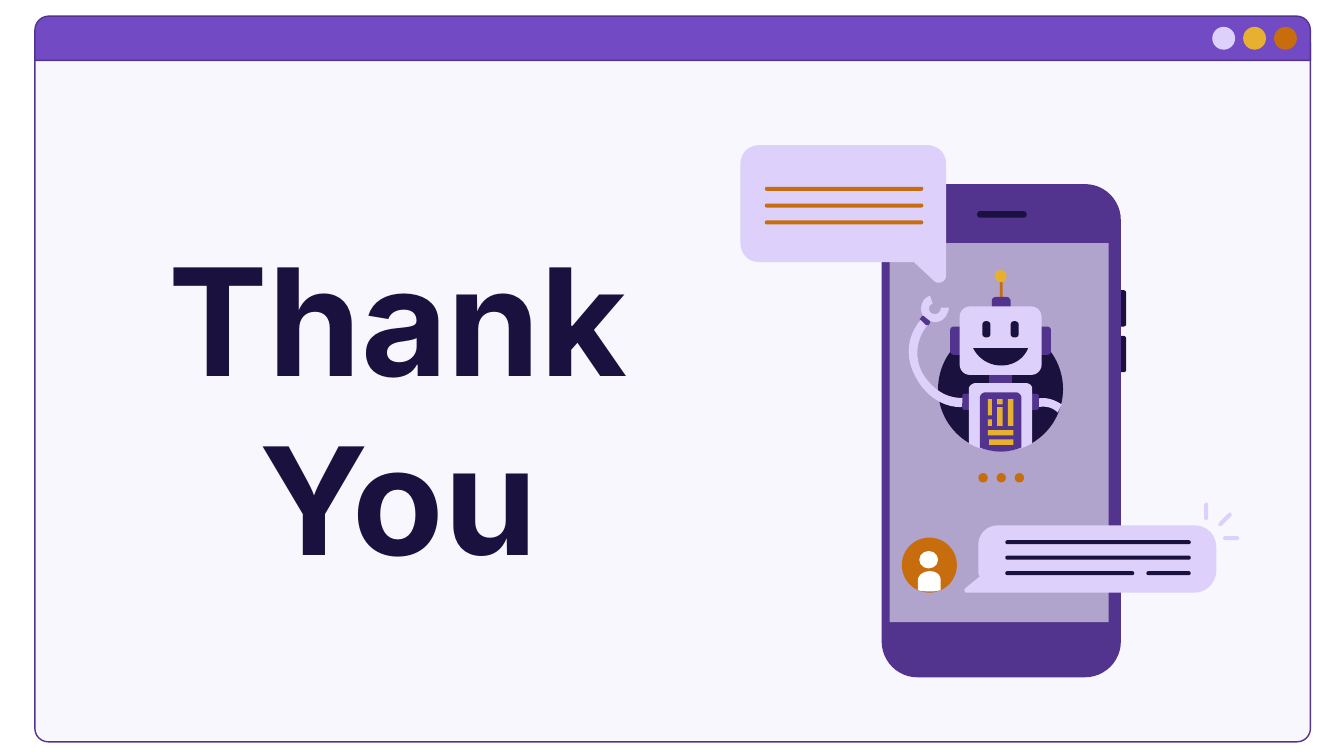
from lxml.etree import SubElement
from pptx import Presentation
from pptx.dml.color import RGBColor
from pptx.enum.shapes import MSO_SHAPE
from pptx.enum.text import MSO_ANCHOR, PP_ALIGN
from pptx.oxml.ns import qn
from pptx.util import Inches, Pt

LILAC = RGBColor(0xDD, 0xD0, 0xFB)
PURPLE = RGBColor(0x72, 0x4A, 0xC3)
DEEP = RGBColor(0x52, 0x34, 0x8F)
NAVY = RGBColor(0x1A, 0x11, 0x3F)
GOLD = RGBColor(0xE7, 0xB0, 0x2F)
ORANGE = RGBColor(0xC7, 0x6D, 0x0D)
WHITE = RGBColor(0xFF, 0xFF, 0xFF)

RECT, OVAL = MSO_SHAPE.RECTANGLE, MSO_SHAPE.OVAL
ROUND, TOP_ROUND = MSO_SHAPE.ROUNDED_RECTANGLE, MSO_SHAPE.ROUND_2_SAME_RECTANGLE

# Presets: kind, (left, top, width, height) in inches, colour, corner shares
# Outlines: colour, points; a six-number entry is a cubic curve
WINDOW_BUTTONS = [LILAC, GOLD, ORANGE]

PHONE = [
    (ROUND, (8.32, 2.16, 0.06, 0.27), NAVY, 0.3),
    (ROUND, (8.32, 2.5, 0.06, 0.27), NAVY, 0.3),
    (ROUND, (6.56, 1.37, 1.78, 3.67), DEEP, 0.15),
    (ROUND, (7.27, 1.57, 0.37, 0.05), NAVY, 0.5),
]
SCREEN = (6.62, 1.81, 1.63, 2.82)

REPLY_BUBBLE = (LILAC, [
    (8.89, 3.91), (7.42, 3.91), (7.35, 3.91, 7.28, 3.97, 7.28, 4.05), (7.28, 4.27),
    (7.29, 4.29), (7.18, 4.38), (7.17, 4.39, 7.18, 4.41, 7.19, 4.41), (8.89, 4.41),
    (8.98, 4.41, 9.05, 4.33, 9.05, 4.25), (9.05, 4.07),
    (9.05, 3.98, 8.98, 3.91, 8.89, 3.91)])
REPLY_LINES = [[(7.48, 1.38)], [(7.48, 1.38)], [(7.48, 0.96), (8.53, 0.33)]]  # left, width per row
SPARKS = [(8.96, 3.74, 0.03, 0.13, 0), (9.05, 3.85, 0.13, 0.03, -45), (9.1, 3.99, 0.12, 0.03, 0)]

ROBOT_HEAD = [
    (OVAL, (6.98, 2.43, 0.93, 0.93), NAVY),
    (RECT, (7.36, 2.78, 0.17, 0.09), DEEP),
    (RECT, (7.44, 2.06, 0.02, 0.17), ORANGE),
    (OVAL, (7.4, 2.01, 0.09, 0.09), GOLD),
    (TOP_ROUND, (7.38, 2.21, 0.14, 0.08), DEEP, 0.35, 0),
    (ROUND, (7.07, 2.43, 0.1, 0.21), DEEP, 0.25),
    (ROUND, (7.72, 2.43, 0.1, 0.21), DEEP, 0.25),
    (ROUND, (7.14, 2.28, 0.61, 0.51), LILAC, 0.15),
    (ROUND, (7.31, 2.39, 0.06, 0.12), NAVY, 0.4),
    (ROUND, (7.52, 2.39, 0.06, 0.12), NAVY, 0.4),
]
ROBOT_BODY = [
    # Smile
    (NAVY, [(7.24, 2.59), (7.65, 2.59), (7.62, 2.67, 7.54, 2.72, 7.45, 2.72),
            (7.36, 2.72, 7.28, 2.67, 7.24, 2.59)]),
    # Raised arm, hand and wrist
    (LILAC, [(7.15, 3.03), (7.01, 3.03, 6.88, 2.94, 6.81, 2.8),
             (6.73, 2.65, 6.75, 2.49, 6.86, 2.37), (6.91, 2.41),
             (6.82, 2.51, 6.8, 2.65, 6.86, 2.77), (6.93, 2.89, 7.04, 2.97, 7.17, 2.96),
             (7.17, 3.02), (7.15, 3.03)]),
    (LILAC, [(6.9, 2.38), (6.85, 2.35, 6.84, 2.29, 6.87, 2.24),
             (6.88, 2.22, 6.9, 2.21, 6.92, 2.2), (6.94, 2.26),
             (6.93, 2.26, 6.93, 2.27, 6.92, 2.27), (6.91, 2.29, 6.91, 2.32, 6.93, 2.33),
             (6.95, 2.34, 6.98, 2.34, 6.99, 2.32), (7, 2.31, 7, 2.3, 7, 2.29), (7.06, 2.29),
             (7.06, 2.31, 7.05, 2.33, 7.04, 2.35), (7.01, 2.4, 6.95, 2.41, 6.9, 2.38)]),
    (DEEP, [(6.89, 2.42), (6.85, 2.38), (6.84, 2.38, 6.84, 2.37, 6.85, 2.37), (6.86, 2.35),
            (6.87, 2.35), (6.92, 2.39), (6.92, 2.4), (6.91, 2.42), (6.89, 2.42)]),
    # Lowered arm
    (LILAC, [(7.71, 2.97), (7.72, 3.03), (7.78, 3.02, 7.83, 3.03, 7.87, 3.07),
             (7.88, 3.05, 7.89, 3.03, 7.9, 3.01), (7.84, 2.97, 7.77, 2.95, 7.71, 2.97)]),
]
SHOULDERS = [(ROUND, (7.16, 2.93, 0.08, 0.12), DEEP, 0.2),
             (ROUND, (7.65, 2.93, 0.08, 0.12), DEEP, 0.2)]
CHEST = [
    (LILAC, [(7.63, 2.85), (7.26, 2.85), (7.24, 2.85, 7.21, 2.87, 7.21, 2.89), (7.21, 3.3),
             (7.28, 3.34, 7.36, 3.36, 7.45, 3.36), (7.53, 3.36, 7.61, 3.34, 7.68, 3.3),
             (7.68, 2.89), (7.68, 2.87, 7.66, 2.85, 7.63, 2.85)]),
    (DEEP, [(7.56, 2.92), (7.33, 2.92), (7.31, 2.92, 7.29, 2.94, 7.29, 2.96), (7.29, 3.33),
            (7.34, 3.35, 7.39, 3.36, 7.45, 3.36), (7.5, 3.36, 7.55, 3.35, 7.6, 3.33),
            (7.6, 2.96), (7.6, 2.94, 7.58, 2.92, 7.56, 2.92)]),
]
CHEST_BARS = [(7.5, 2.97, 0.04, 0.2), (7.42, 2.97, 0.04, 0.04), (7.42, 3.03, 0.04, 0.14),
              (7.35, 2.97, 0.03, 0.12), (7.35, 3.12, 0.03, 0.05),
              (7.35, 3.2, 0.19, 0.04), (7.36, 3.27, 0.18, 0.04)]

QUESTION_BUBBLE = (LILAC, [
    (6.9, 1.08), (5.65, 1.08), (5.57, 1.08, 5.51, 1.14, 5.51, 1.22), (5.51, 1.81),
    (5.51, 1.89, 5.57, 1.95, 5.65, 1.95), (6.8, 1.95), (6.95, 2.09),
    (6.98, 2.12, 7.04, 2.1, 7.04, 2.05), (7.04, 1.22),
    (7.04, 1.14, 6.98, 1.08, 6.9, 1.08)])

AVATAR = [(OVAL, (6.71, 4, 0.41, 0.41), ORANGE), (OVAL, (6.84, 4.1, 0.14, 0.13), WHITE)]
AVATAR_BODY = (WHITE, [
    (6.92, 4.25), (6.87, 4.25, 6.83, 4.28, 6.83, 4.32), (6.83, 4.39),
    (6.85, 4.4, 6.89, 4.4, 6.92, 4.4), (6.95, 4.4, 6.97, 4.4, 7, 4.39),
    (7, 4.32), (7, 4.28, 6.97, 4.25, 6.92, 4.25)])

# Widescreen slide, 16 by 9
presentation = Presentation()
presentation.slide_width = Inches(10)
presentation.slide_height = presentation.slide_width * 9 // 16
slide = presentation.slides.add_slide(presentation.slide_layouts[6])


def paint(shape, colour, opacity=100, outline=None):
    shape.shadow.inherit = False
    shape.fill.solid()
    shape.fill.fore_color.rgb = colour
    if opacity < 100:
        fill_colour = shape.fill._xPr.find(qn("a:solidFill"))[0]
        SubElement(fill_colour, qn("a:alpha"), val=str(opacity * 1000))
    if outline is None:
        shape.line.fill.background()
    else:
        shape.line.color.rgb = outline
        shape.line.width = Pt(0.75)


def add_preset(kind, box, colour, *corners, **style):
    shape = slide.shapes.add_shape(kind, *map(Inches, box))
    for index, share in enumerate(corners):
        shape.adjustments[index] = share
    paint(shape, colour, **style)
    return shape


def add_outline(colour, steps, pieces=10):
    points = [steps[0]]
    for step in steps[1:]:
        if len(step) == 2:
            points.append(step)
            continue
        controls = [points[-1], step[:2], step[2:4], step[4:]]
        for t in (piece / pieces for piece in range(1, pieces + 1)):
            weights = ((1 - t) ** 3, 3 * t * (1 - t) ** 2, 3 * t * t * (1 - t), t ** 3)
            points.append(tuple(sum(w * c[axis] for w, c in zip(weights, controls))
                                for axis in (0, 1)))
    corners = [(Inches(x), Inches(y)) for x, y in points]
    builder = slide.shapes.build_freeform(*corners[0])
    builder.add_line_segments(corners[1:], close=True)
    paint(builder.convert_to_shape(), colour)


# Browser window
add_preset(TOP_ROUND, (0.26, 0.32, 9.49, 5.2), LILAC, 0, 0.019, opacity=15, outline=DEEP)
add_preset(TOP_ROUND, (0.26, 0.12, 9.49, 0.33), PURPLE, 0.312, 0, outline=DEEP)
for column, colour in enumerate(WINDOW_BUTTONS):
    add_preset(OVAL, (9.02 + 0.23 * column, 0.2, 0.17, 0.17), colour)

# Title
title = slide.shapes.add_textbox(Inches(0.61), Inches(1.59), Inches(4.71), Inches(1)).text_frame
title.word_wrap = True
title.vertical_anchor = MSO_ANCHOR.TOP
title.margin_left = title.margin_right = title.margin_top = title.margin_bottom = Inches(0.1)
thanks = title.paragraphs[0]
thanks.text = "Thank You"
thanks.alignment = PP_ALIGN.CENTER
thanks.font.name, thanks.font.size, thanks.font.bold = "Inter", Pt(80), True
thanks.font.color.rgb = NAVY

# Phone with typing dots
for part in PHONE:
    add_preset(*part)
add_preset(RECT, SCREEN, WHITE, opacity=55)
for column in range(3):
    add_preset(OVAL, (7.28 + 0.135 * column, 3.52, 0.07, 0.07), ORANGE)

# Reply bubble
add_outline(*REPLY_BUBBLE)
for *box, angle in SPARKS:
    add_preset(ROUND, box, LILAC, 0.5).rotation = angle
for row, strokes in enumerate(REPLY_LINES):
    for left, width in strokes:
        add_preset(ROUND, (left, 4.02 + 0.115 * row, width, 0.03), NAVY, 0.5)

# Robot
for part in ROBOT_HEAD:
    add_preset(*part)
for part in ROBOT_BODY:
    add_outline(*part)
for part in SHOULDERS:
    add_preset(*part)
for part in CHEST:
    add_outline(*part)
for bar in CHEST_BARS:
    add_preset(RECT, bar, GOLD)

# Question bubble
add_outline(*QUESTION_BUBBLE)
for row in range(3):
    add_preset(ROUND, (5.69, 1.39 + 0.125 * row, 1.18, 0.03), ORANGE, 0.5)

# Avatar
for part in AVATAR:
    add_preset(*part)
add_outline(*AVATAR_BODY)

presentation.save("out.pptx")
